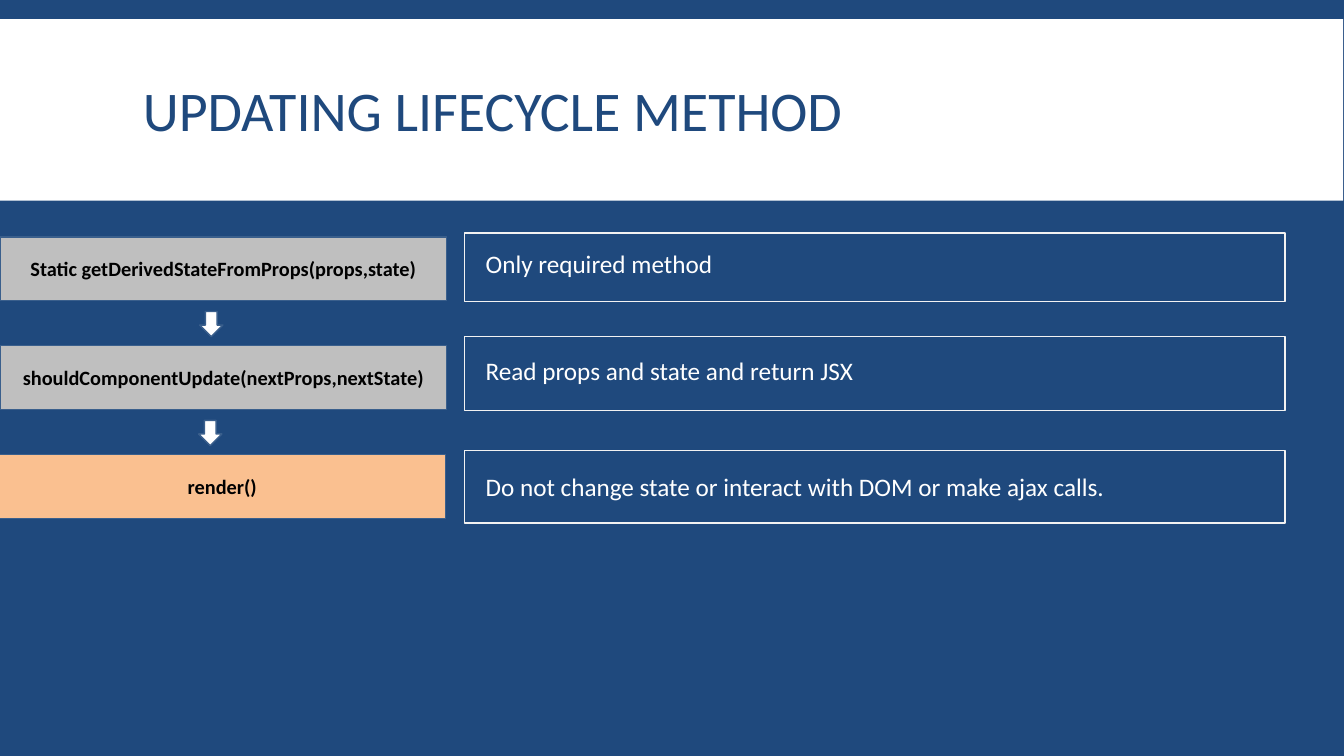
from pptx import Presentation
from pptx.dml.color import RGBColor
from pptx.enum.shapes import MSO_SHAPE
from pptx.enum.text import MSO_ANCHOR, PP_ALIGN
from pptx.util import Pt

HUES = {"navy": "1F497D", "white": "FFFFFF", "frame": "F2F2F2", "edge": "3A5F8C",
        "grey": "BFBFBF", "peach": "FAC090", "black": "000000"}
STEPS = [
    ("Static getDerivedStateFromProps(props,state)", "grey", 0),
    ("shouldComponentUpdate(nextProps,nextState)", "grey", 0),
    ("render()", "peach", -0.7),
]
NOTES = [
    ("Only required method", 0, 49, 7.9),
    ("Read props and state and return JSX", 74.2, 52.6, 10.1),
    ("Do not change state or interact with DOM or make ajax calls.", 155.5, 51.8, 11.5),
]


def hue(name):
    """Return the named colour."""
    return RGBColor.from_string(HUES[name])


def draw(slide, box, fill=None, line=None, kind=MSO_SHAPE.RECTANGLE):
    """Add a preset shape with a flat fill and outline."""
    shape = slide.shapes.add_shape(kind, *map(Pt, box))
    shape.shadow.inherit = False
    if fill:
        shape.fill.solid()
        shape.fill.fore_color.rgb = hue(fill)
    else:
        shape.fill.background()
    if line:
        shape.line.color.rgb = hue(line)
        shape.line.width = Pt(1)
    else:
        shape.line.fill.background()
    return shape


def write(shape, text, size=18, color="white", bold=False,
          align=PP_ALIGN.LEFT, anchor=MSO_ANCHOR.MIDDLE, space=1.0):
    """Put formatted text in a shape."""
    frame = shape.text_frame
    frame.word_wrap = True
    frame.vertical_anchor = anchor
    para = frame.paragraphs[0]
    para.alignment = align
    para.line_spacing = space
    run = para.add_run()
    run.text = text
    font = run.font
    font.name, font.size, font.bold = "Calibri", Pt(size), bold
    font.color.rgb = hue(color)


def header(slide, left, top, width, height):
    """Draw the title band."""
    draw(slide, (left, top, width, height), fill="white")
    box = (left + 95, top + 8.6, 770.4, 118.8)
    title = slide.shapes.add_textbox(*map(Pt, box))
    write(title, "UPDATING LIFECYCLE METHOD", size=40, color="navy", space=0.85)


def flow(slide, left, top, width, pitch):
    """Draw the stacked method boxes with arrows between them."""
    for row, (text, fill, shift) in enumerate(STEPS):
        x, y = left + shift, top + row * pitch
        step = draw(slide, (x, y, width, 45.4), fill=fill, line="edge")
        write(step, text, size=14.5, color="black", bold=True, align=PP_ALIGN.CENTER)
        if row < len(STEPS) - 1:
            spot = (left + 142.6 - row * 0.7, y + 53.3, 16.6, 18)
            draw(slide, spot, fill="white", line="edge", kind=MSO_SHAPE.DOWN_ARROW)


def notes(slide, left, top, width):
    """Draw the framed remarks beside the methods."""
    for text, drop, height, inset in NOTES:
        y = top + drop
        draw(slide, (left, y, width, height), line="frame")
        box = (left + 7.9, y + inset, width - 8, 28.8)
        write(slide.shapes.add_textbox(*map(Pt, box)), text, anchor=MSO_ANCHOR.TOP)


def main():
    """Build and save the slide."""
    deck = Presentation()
    deck.slide_width, deck.slide_height = Pt(960), Pt(540)
    slide = deck.slides.add_slide(deck.slide_layouts[6])
    back = slide.background.fill
    back.solid()
    back.fore_color.rgb = hue("navy")
    header(slide, 0, 13.7, 959.5, 129.6)
    notes(slide, 331.9, 166.3, 586)
    flow(slide, 0, 169.2, 319, 77.8)
    deck.save("out.pptx")


if __name__ == "__main__":
    main()
